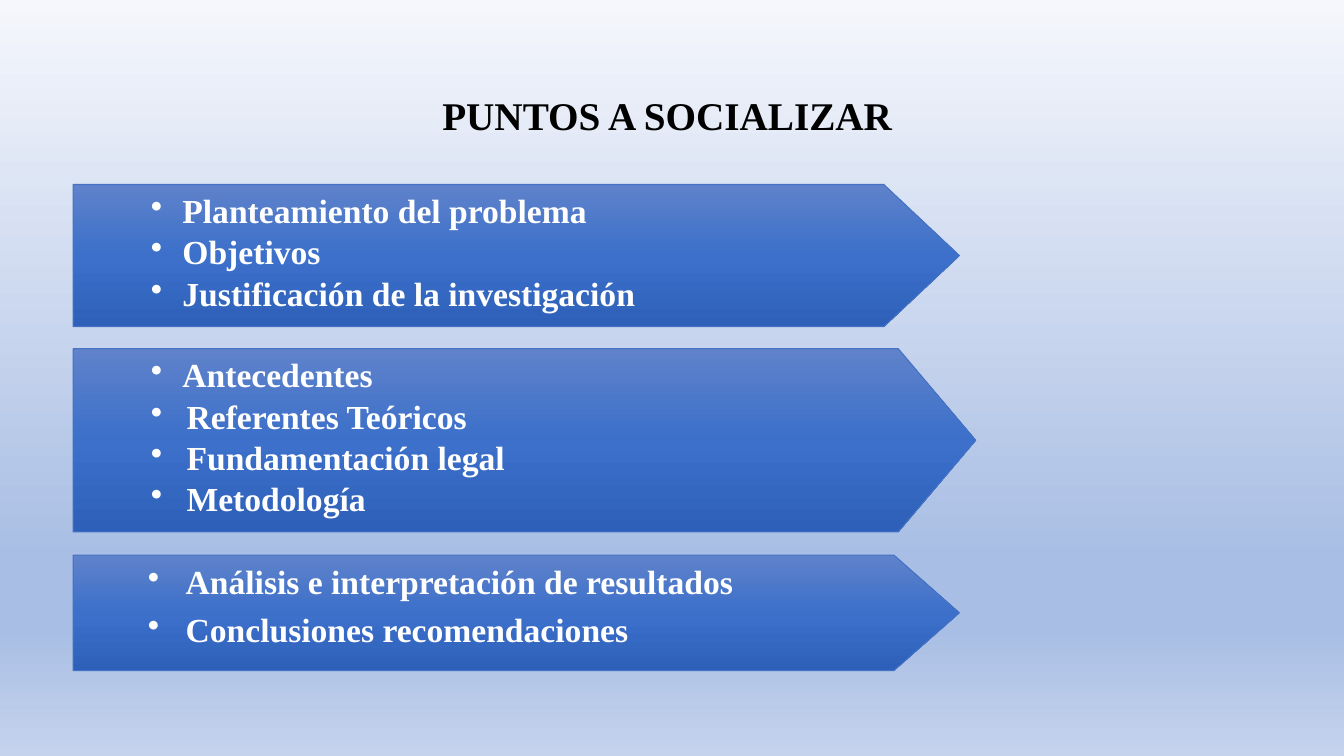
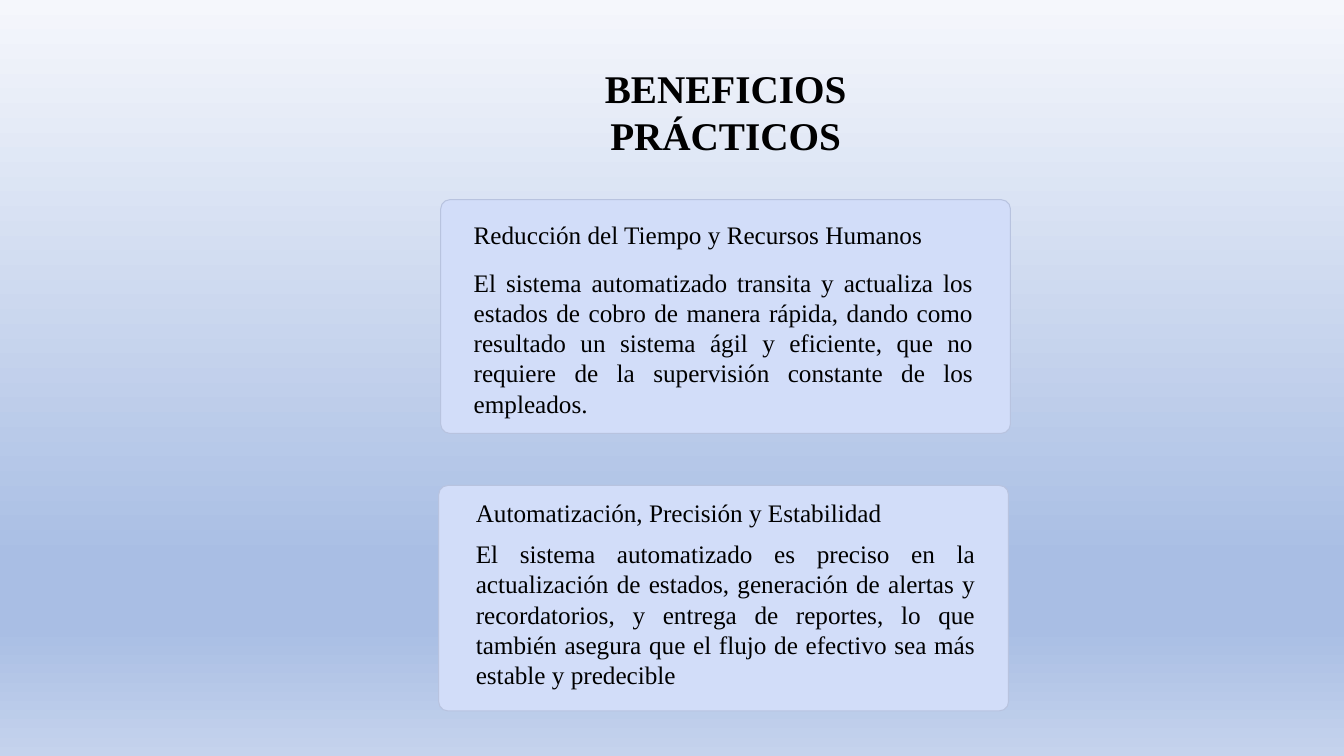
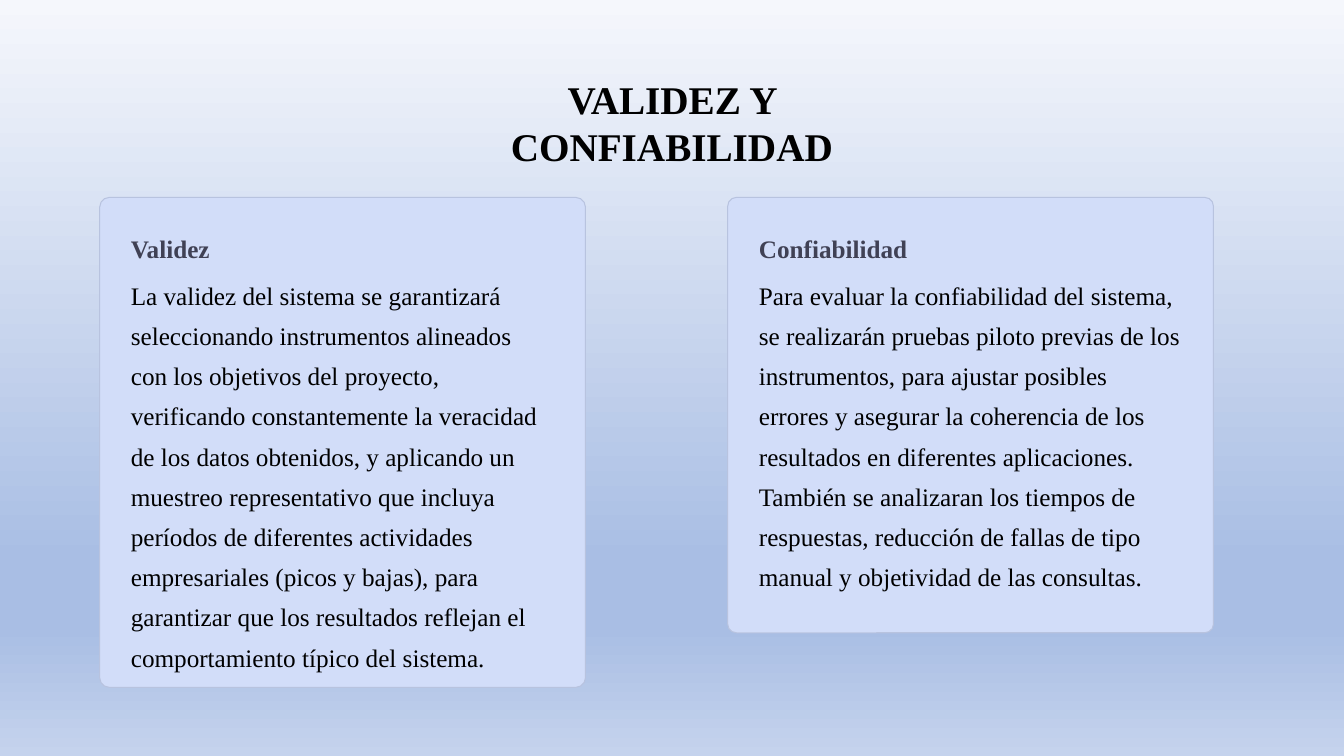
from lxml.etree import SubElement
from pptx import Presentation
from pptx.dml.color import RGBColor
from pptx.enum.shapes import MSO_SHAPE
from pptx.enum.text import MSO_ANCHOR, PP_ALIGN
from pptx.oxml.ns import qn
from pptx.util import Pt


class Theme:
    font = "Times New Roman"
    title_size, bullet_size, body_size = 28, 24, 18
    black, white, slate = "000000", "FFFFFF", "404155"
    card_fill, card_line, arrow_line = "D2DDF9", "B8C3DF", "4472C4"
    line_width = 0.75
    background = ((0, "F5F7FC"), (74, "A9BEE4"), (83, "A9BEE4"), (100, "C5D3ED"))
    arrow = ((0, "5F82CA"), (50, "3C70CA"), (100, "2E60B9"))


def set_gradient(fill, element, stops):
    """Fill from top to bottom; stops are (percent, colour) pairs."""
    fill.gradient()
    fill.gradient_angle = 270
    stop_list = next(element.iter(qn("a:gsLst")))
    for old_stop in list(stop_list):
        stop_list.remove(old_stop)
    for percent, color in stops:
        stop = SubElement(stop_list, qn("a:gs"), pos=str(percent * 1000))
        SubElement(stop, qn("a:srgbClr"), val=color)


def write_text(shape, lines, *, size=Theme.body_size, color=Theme.black, bold=False,
               align=PP_ALIGN.LEFT, line_spacing=None, space_before=0,
               bullet_indents=None, margins=(7.2, 3.6, 7.2, 3.6)):
    """Write one paragraph per line; margins are left, top, right, bottom."""
    frame = shape.text_frame
    frame.word_wrap = True
    frame.vertical_anchor = MSO_ANCHOR.TOP
    (frame.margin_left, frame.margin_top,
     frame.margin_right, frame.margin_bottom) = map(Pt, margins)
    for index, line in enumerate(lines):
        paragraph = frame.add_paragraph() if index else frame.paragraphs[0]
        if bullet_indents:
            indent = Pt(bullet_indents[index])
            properties = paragraph._p.get_or_add_pPr()
            properties.set("marL", str(indent))
            properties.set("indent", str(-indent))
            bullet_color = SubElement(properties, qn("a:buClr"))
            SubElement(bullet_color, qn("a:srgbClr"), val=color)
            SubElement(properties, qn("a:buChar"), char="•")
        paragraph.alignment = align
        if line_spacing:
            paragraph.line_spacing = line_spacing
        if index and space_before:
            paragraph.space_before = Pt(space_before)
        run = paragraph.add_run()
        run.text = line
        run.font.name = Theme.font
        run.font.size = Pt(size)
        run.font.bold = bold
        run.font.color.rgb = RGBColor.from_string(color)


presentation = Presentation()
presentation.slide_width, presentation.slide_height = Pt(960), Pt(540)
master = presentation.slide_master
set_gradient(master.background.fill, master.element, Theme.background)

# Slides and titles: text, left, top, width, height
titles = [
    ("PUNTOS A SOCIALIZAR", 300, 62, 353, 41),
    ("BENEFICIOS PRÁCTICOS", 369.5, 42.5, 297.5, 75),
    ("VALIDEZ Y CONFIABILIDAD", 306.7, 50.4, 346.3, 75),
]
slides = []
for title, *box in titles:
    slide = presentation.slides.add_slide(presentation.slide_layouts[6])
    write_text(slide.shapes.add_textbox(*map(Pt, box)), [title],
               size=Theme.title_size, bold=True, align=PP_ALIGN.CENTER)
    slides.append(slide)
agenda_slide, benefits_slide, validity_slide = slides

# Agenda arrows: top, width, height, tip length, left margin, space before, indents, points
arrows = [
    (131.8, 633, 101.6, 54, 55.5, 3.6, (22.5, 22.5, 22.5),
     ("Planteamiento del problema", "Objetivos", "Justificación de la investigación")),
    (249, 644.7, 131, 55.4, 55.5, 3.6, (22.5, 25.5, 25.5, 25.5),
     ("Antecedentes", "Referentes Teóricos", "Fundamentación legal", "Metodología")),
    (396.5, 633, 82.5, 46.8, 53.3, 8.4, (27, 27),
     ("Análisis e interpretación de resultados", "Conclusiones recomendaciones")),
]
for top, width, height, tip, left_margin, space_before, indents, points in arrows:
    arrow = agenda_slide.shapes.add_shape(
        MSO_SHAPE.PENTAGON, Pt(52.3), Pt(top), Pt(width), Pt(height))
    arrow.adjustments[0] = tip / height
    arrow.shadow.inherit = False
    set_gradient(arrow.fill, arrow.element, Theme.arrow)
    arrow.line.color.rgb = RGBColor.from_string(Theme.arrow_line)
    arrow.line.width = Pt(Theme.line_width)
    write_text(arrow, points, size=Theme.bullet_size, color=Theme.white, bold=True,
               line_spacing=0.9, space_before=space_before, bullet_indents=indents,
               margins=(left_margin, 7.2, 13.7, 7.2))

# Cards: left, top, height, then text left, heading top, body top, heading, body
benefit_cards = [
    (314.8, 142.6, 167, 331.3, 153.4, 187.2,
     "Reducción del Tiempo y Recursos Humanos",
     "El sistema automatizado transita y actualiza los estados de cobro de manera rápida, "
     "dando como resultado un sistema ágil y eficiente, que no requiere de la supervisión "
     "constante de los empleados."),
    (313.4, 346.8, 161, 332.8, 351.8, 381,
     "Automatización, Precisión y Estabilidad",
     "El sistema automatizado es preciso en la actualización de estados, generación de "
     "alertas y recordatorios, y entrega de reportes, lo que también asegura que el flujo "
     "de efectivo sea más estable y predecible"),
]
validity_cards = [
    (71.2, 141, 350, 86.4, 157, 189.4,
     "Validez",
     "La validez del sistema se garantizará seleccionando instrumentos alineados con los "
     "objetivos del proyecto, verificando constantemente la veracidad de los datos "
     "obtenidos, y aplicando un muestreo representativo que incluya períodos de diferentes "
     "actividades empresariales (picos y bajas), para garantizar que los resultados "
     "reflejan el comportamiento típico del sistema."),
    (519.8, 141, 311, 535, 157, 189.4,
     "Confiabilidad",
     "Para evaluar la confiabilidad del sistema, se realizarán pruebas piloto previas de "
     "los instrumentos, para ajustar posibles errores y asegurar la coherencia de los "
     "resultados en diferentes aplicaciones. También se analizaran los tiempos de "
     "respuestas, reducción de fallas de tipo manual y objetividad de las consultas."),
]
# Card groups: slide, cards, card width, text width, corner, heading format, body format
card_groups = [
    (benefits_slide, benefit_cards, 407, 371, 0.04,
     {"align": PP_ALIGN.JUSTIFY}, {"align": PP_ALIGN.JUSTIFY}),
    (validity_slide, validity_cards, 347, 316, 0.02,
     {"color": Theme.slate, "bold": True, "line_spacing": 1.29}, {"line_spacing": 1.33}),
]
for slide, cards, width, text_width, corner, heading_format, body_format in card_groups:
    for left, top, height, text_left, heading_top, body_top, heading, body in cards:
        card = slide.shapes.add_shape(
            MSO_SHAPE.ROUNDED_RECTANGLE, Pt(left), Pt(top), Pt(width), Pt(height))
        card.adjustments[0] = corner
        card.shadow.inherit = False
        card.fill.solid()
        card.fill.fore_color.rgb = RGBColor.from_string(Theme.card_fill)
        card.line.color.rgb = RGBColor.from_string(Theme.card_line)
        card.line.width = Pt(Theme.line_width)
        text_blocks = [
            (heading, heading_top, body_top - heading_top, heading_format),
            (body, body_top, top + height - body_top, body_format),
        ]
        for text, text_top, text_height, text_format in text_blocks:
            text_box = slide.shapes.add_textbox(
                Pt(text_left), Pt(text_top), Pt(text_width), Pt(text_height))
            write_text(text_box, [text], **text_format)

presentation.save("out.pptx")
